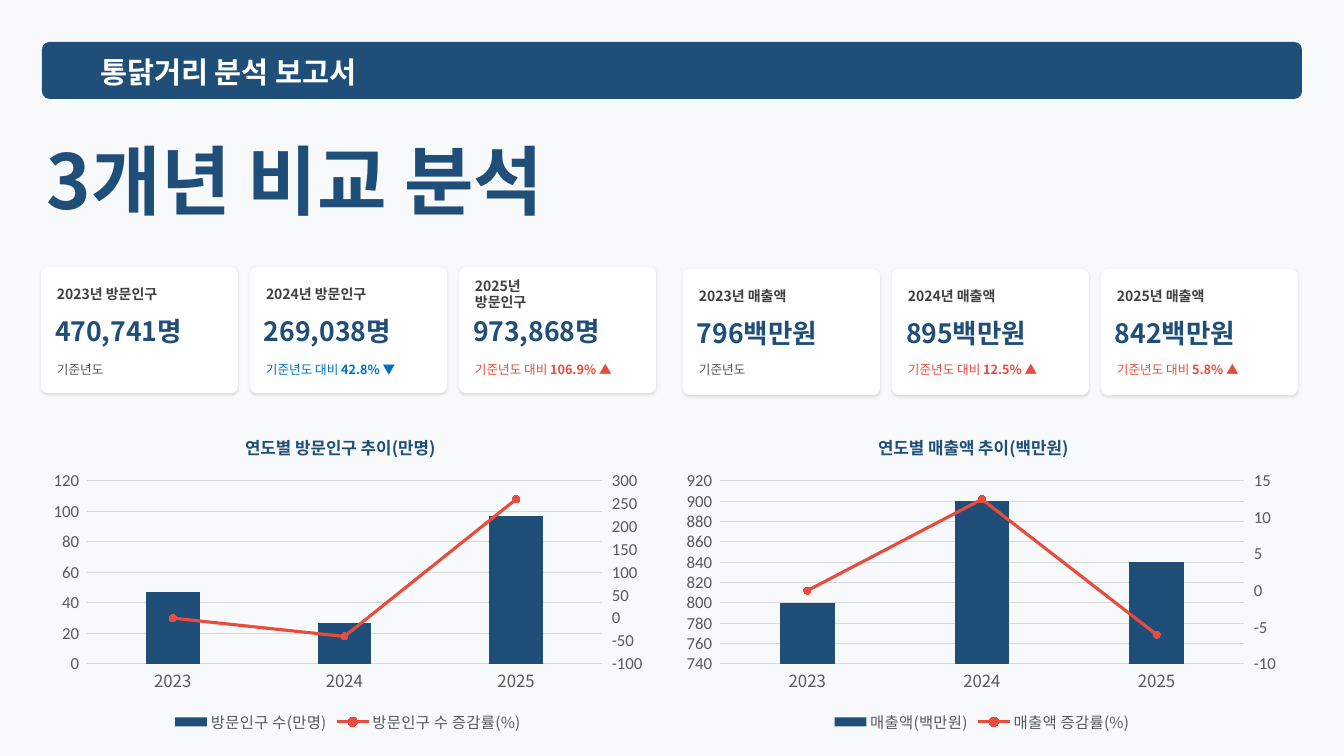
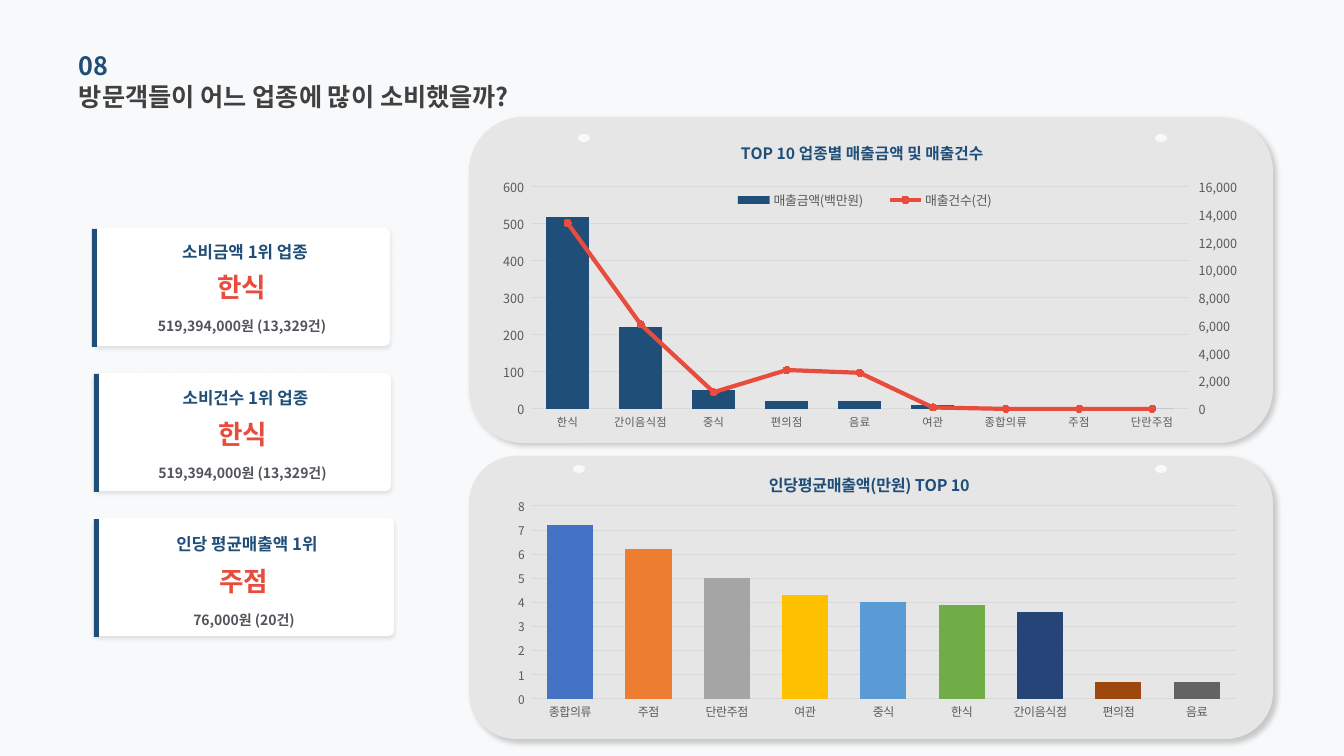
from lxml.etree import SubElement
from pptx import Presentation
from pptx.chart.axis import ValueAxis
from pptx.chart.data import CategoryChartData
from pptx.dml.color import RGBColor
from pptx.enum.chart import XL_CHART_TYPE, XL_LEGEND_POSITION, XL_MARKER_STYLE, XL_TICK_MARK
from pptx.enum.shapes import MSO_SHAPE
from pptx.enum.text import MSO_ANCHOR, PP_ALIGN
from pptx.oxml import parse_xml
from pptx.oxml.ns import nsdecls, qn
from pptx.util import Emu, Pt

PX = 914400 / 100.8
KOREAN, LATIN = "Noto Sans CJK KR", "Calibri"
COLORS = {
    "page": "F8F9FA", "navy": "1F4E79", "red": "E74C3C", "blue": "0070C0",
    "dark": "404040", "gray": "51545A", "axis": "595959", "grid": "D9D9D9",
    "panel": "E7E6E6", "white": "FFFFFF",
}
BAR_COLORS = ["4472C4", "ED7D31", "A5A5A5", "FFC000", "5B9BD5",
              "70AD47", "264478", "9E480E", "636363"]
# Shadows: opacity %, blur pt, distance pt, direction in degrees
CARD_SHADOW, RANK_SHADOW, PANEL_SHADOW = (10, 2, 1, 90), (10, 3, 2, 90), (20, 4, 3, 45)

SECOND_AXES = (
    '<c:catAx {ns}><c:axId val="501"/><c:scaling/><c:delete val="1"/>'
    '<c:axPos val="b"/><c:crossAx val="502"/></c:catAx>',
    '<c:valAx {ns}><c:axId val="502"/><c:scaling/><c:delete val="0"/>'
    '<c:axPos val="r"/><c:crossAx val="501"/><c:crosses val="max"/></c:valAx>',
)
LINE_PLOT = ('<c:lineChart {ns}><c:grouping val="standard"/><c:varyColors val="0"/>'
             '<c:marker val="1"/><c:axId val="501"/><c:axId val="502"/></c:lineChart>')


def px(*lengths):
    return [Emu(round(length * PX)) for length in lengths]


def rgb(color):
    return RGBColor.from_string(COLORS.get(color, color))


def style_font(font, size, color, bold=False, face=KOREAN):
    font.size, font.bold, font.name = Pt(size), bold, face
    font.color.rgb = rgb(color)
    SubElement(font._rPr, qn("a:ea"), typeface=face)


def paint(fill, color):
    fill.solid()
    fill.fore_color.rgb = rgb(color)


def set_layout(parent, index, frame, place, target=None):
    """Fix a chart part at slide pixels, stored as shares of the chart frame."""
    for old in parent.findall(qn("c:layout")):
        parent.remove(old)
    layout = parse_xml(f"<c:layout {nsdecls('c')}><c:manualLayout/></c:layout>")
    parent.insert(index, layout)
    left, top, width, height = frame
    shares = [(place[0] - left) / width, (place[1] - top) / height]
    shares += [length / side for length, side in zip(place[2:], (width, height))]
    settings = [("layoutTarget", target)] if target else []
    settings += [("xMode", "edge"), ("yMode", "edge")]
    settings += [(key, f"{share:.4f}") for key, share in zip("xywh", shares)]
    for key, value in settings:
        SubElement(layout[0], qn(f"c:{key}"), val=value)


class Deck:
    def __init__(self):
        self.prs = Presentation()
        self.prs.slide_width, self.prs.slide_height = px(1344, 756)

    def new_slide(self):
        self.slide = self.prs.slides.add_slide(self.prs.slide_layouts[6])
        paint(self.slide.background.fill, "page")
        self.ungroup()

    def group(self):
        self.layer = self.slide.shapes.add_group_shape().shapes

    def ungroup(self):
        self.layer = self.slide.shapes

    def box(self, frame, color, preset=MSO_SHAPE.RECTANGLE, corner=None, shadow=None):
        shape = self.layer.add_shape(preset, *px(*frame))
        paint(shape.fill, color)
        shape.line.fill.background()
        shape.shadow.inherit = False
        if corner is not None:
            shape.adjustments[0] = corner
        if shadow:
            opacity, blur, distance, angle = shadow
            effects = shape._element.spPr.find(qn("a:effectLst"))
            outer = SubElement(effects, qn("a:outerShdw"), blurRad=str(Pt(blur)),
                               dist=str(Pt(distance)), dir=str(angle * 60000),
                               algn="ctr", rotWithShape="0")
            tone = SubElement(outer, qn("a:srgbClr"), val="000000")
            SubElement(tone, qn("a:alpha"), val=str(opacity * 1000))

    def card(self, frame, corner, color="white", shadow=None):
        self.box(frame, color, MSO_SHAPE.ROUNDED_RECTANGLE, corner, shadow)

    def text(self, frame, runs, size, color, align=PP_ALIGN.LEFT):
        """Runs are (wording, bold) pairs; plain wording is one bold run."""
        area = self.layer.add_textbox(*px(*frame)).text_frame
        area.word_wrap, area.vertical_anchor = True, MSO_ANCHOR.MIDDLE
        area.margin_left = area.margin_right = area.margin_top = area.margin_bottom = 0
        paragraph = area.paragraphs[0]
        paragraph.alignment = align
        for wording, bold in [(runs, True)] if isinstance(runs, str) else runs:
            run = paragraph.add_run()
            run.text = wording
            style_font(run.font, size, color, bold)
            run.font._rPr.set("kern", "0")

    def value_axis(self, axis, scale, size, face, tick=XL_TICK_MARK.NONE):
        axis.minimum_scale, axis.maximum_scale, axis.major_unit = scale
        axis.major_tick_mark = tick
        axis.format.line.fill.background()
        axis.tick_labels.number_format = "#,##0_ "
        axis.tick_labels.number_format_is_linked = False
        style_font(axis.tick_labels.font, size, "axis", face=face)

    def move_to_line(self, chart, weight):
        """Turn the second series into a line on a right-hand axis."""
        area = chart._chartSpace.chart.plotArea
        bars = area.find(qn("c:barChart"))
        series = bars.findall(qn("c:ser"))[1]
        for flag in series.findall(qn("c:invertIfNegative")):
            series.remove(flag)
        line_plot = parse_xml(LINE_PLOT.format(ns=nsdecls("c")))
        line_plot.insert(2, series)
        bars.addnext(line_plot)
        last = area.findall(qn("c:valAx"))[-1]
        for xml in SECOND_AXES:
            axis = parse_xml(xml.format(ns=nsdecls("c")))
            last.addnext(axis)
            last = axis
        rate = chart.plots[1].series[0]
        rate.smooth = False
        rate.format.line.width = Pt(weight)
        rate.format.line.color.rgb = rgb("red")
        rate.marker.style, rate.marker.size = XL_MARKER_STYLE.CIRCLE, 5
        paint(rate.marker.format.fill, "red")
        rate.marker.format.line.color.rgb = rgb("red")
        return ValueAxis(last)

    def chart(self, frame, title, title_at, plot_at, categories, series, scales, sizes,
              face=KOREAN, gap=70, overlap=-27, weight=3, legend=None,
              legend_at=None, bar_colors=()):
        title_size, category_size, value_size, legend_size = sizes
        data = CategoryChartData()
        data.categories = categories
        for name, values in series:
            data.add_series(name, values)
        chart = self.slide.shapes.add_chart(
            XL_CHART_TYPE.COLUMN_CLUSTERED, *px(*frame), data).chart
        style_font(chart.font, 10, "000000", face=LATIN)

        # Title and plot area
        chart.has_title = True
        heading = chart.chart_title.text_frame.paragraphs[0].add_run()
        heading.text = title
        style_font(heading.font, title_size, "navy", True)
        set_layout(chart.chart_title._element, 1, frame, title_at)
        set_layout(chart._chartSpace.chart.plotArea, 0, frame, plot_at, "inner")

        # Columns
        bars = chart.plots[0]
        bars.gap_width, bars.overlap, bars.vary_by_categories = gap, overlap, False
        paint(bars.series[0].format.fill, "navy")
        for index, color in enumerate(bar_colors):
            paint(bars.series[0].points[index].format.fill, color)

        # Axes
        base = chart.category_axis
        base.major_tick_mark = XL_TICK_MARK.NONE
        base.format.line.color.rgb = rgb("grid")
        base.format.line.width = Pt(0.75)
        style_font(base.tick_labels.font, category_size, "axis")
        gridlines = chart.value_axis.major_gridlines.format.line
        gridlines.color.rgb, gridlines.width = rgb("grid"), Pt(0.75)
        self.value_axis(chart.value_axis, scales[0], value_size, face)
        if len(series) > 1:
            self.value_axis(self.move_to_line(chart, weight), scales[1], value_size, face,
                            XL_TICK_MARK.OUTSIDE)

        # Legend
        chart.has_legend = legend is not None
        if legend is not None:
            chart.legend.position = legend
            chart.legend.include_in_layout = False
            style_font(chart.legend.font, legend_size, "axis")
            if legend_at:
                set_layout(chart.legend._element, 1, frame, legend_at)


def comparison_slide(deck):
    deck.new_slide()

    # Yearly figures: label, label width, value, note, change, colour
    base, versus = "기준년도", "기준년도 대비 "
    visitors = [("2023년 방문인구", 113, "470,741명", base, "", "gray"),
                ("2024년 방문인구", 109, "269,038명", versus, "42.8% ▼", "blue"),
                ("2025년 방문인구", 98, "973,868명", versus, "106.9% ▲", "red")]
    sales = [("2023년 매출액", 100, "796백만원", base, "", "gray"),
             ("2024년 매출액", 100, "895백만원", versus, "12.5% ▲", "red"),
             ("2025년 매출액", 100, "842백만원", versus, "5.8% ▲", "red")]
    for start, top, years in ((41, 267, visitors), (683, 269, sales)):
        for index, (label, label_width, value, note, change, color) in enumerate(years):
            left = start + 209 * index
            deck.card((left, top, 197, 126), 0.053, shadow=CARD_SHADOW)
            deck.text((left + 16, top + 18, label_width, 18), label, 10, "dark")
            deck.text((left + 14, top + 49, 196, 30), value, 19, "navy")
            runs = [(note, False)] + ([(change, True)] if change else [])
            deck.text((left + 16, 359, 180, 21), runs, 9, color)

    # Band and title
    deck.card((42, 42, 1260, 57), 0.132, "navy")
    deck.text((100, 50, 1144, 44), "통닭거리 분석 보고서", 21, "white")
    deck.text((47, 124, 637, 110), "3개년 비교 분석", 54, "navy")

    # Trends
    trend = dict(categories=["2023", "2024", "2025"], sizes=(12, 12, 12, 11), face=LATIN,
                 gap=219, overlap=0, weight=2.25, legend=XL_LEGEND_POSITION.BOTTOM)
    deck.chart((41, 417, 614, 320), "연도별 방문인구 추이(만명)", (242, 429),
               (87, 481, 515, 183),
               series=[("방문인구 수(만명)", [47, 27, 97]),
                       ("방문인구 수 증감률(%)", [0, -40, 260])],
               scales=[(0, 120, 20), (-100, 300, 50)], **trend)
    deck.chart((675, 417, 614, 320), "연도별 매출액 추이(백만원)", (875, 429),
               (720, 481, 524, 183),
               series=[("매출액(백만원)", [800, 900, 840]),
                       ("매출액 증감률(%)", [0, 12.5, -6])],
               scales=[(740, 920, 20), (-10, 15, 5)], **trend)


def spending_slide(deck):
    deck.new_slide()

    # Panels and heading
    for top, height in ((456, 283), (117, 326)):
        deck.card((469, top, 804, height), 0.1667, "panel", PANEL_SHADOW)
    deck.text((79, 76, 456, 41), "방문객들이 어느 업종에 많이 소비했을까?", 18, "dark")
    deck.text((79, 45, 456, 41), "08", 18, "navy")

    # Leaders: heading, winner, detail, card width, stripe left
    leaders = [("소비금액 1위 업종", "한식", "519,394,000원 (13,329건)", 296, 92),
               ("소비건수 1위 업종", "한식", "519,394,000원 (13,329건)", 297, 94),
               ("인당 평균매출액 1위", "주점", "76,000원 (20건)", 300, 94)]
    for index, (heading, winner, detail, width, stripe) in enumerate(leaders):
        top, drift = 228 + 145 * index, 2 * index
        deck.group()
        deck.card((94, top, width, 118), 0.048, shadow=RANK_SHADOW)
        for left, offset, height, wording, size, color in (
                (97, 13 + index, 22, heading, 12, "navy"),
                (94, 42 + drift, 34, winner, 19, "red"),
                (94, 89 + drift, 18, detail, 10, "gray")):
            deck.text((left, top + offset, width, height), wording, size, color,
                      PP_ALIGN.CENTER)
        deck.ungroup()
        deck.box((stripe, top + 1, 5, 118), "navy")

    # Rankings
    deck.chart((502, 125, 738, 318), "TOP 10 업종별 매출금액 및 매출건수", (738, 137),
               (531, 187, 658, 222),
               ["한식", "간이음식점", "중식", "편의점", "음료", "여관", "종합의류", "주점", "단란주점"],
               [("매출금액(백만원)", [520, 220, 50, 20, 20, 10, 0, 0, 0]),
                ("매출건수(건)", [13400, 6100, 1200, 2800, 2600, 100, 0, 0, 0])],
               [(0, 600, 100), (0, 16000, 2000)], (11.2, 8, 9, 9.2),
               legend=XL_LEGEND_POSITION.TOP, legend_at=(716, 188, 298, 24))
    deck.chart((502, 458, 749, 269), "인당평균매출액(만원) TOP 10", (766, 469),
               (531, 506, 705, 193),
               ["종합의류", "주점", "단란주점", "여관", "중식", "한식", "간이음식점", "편의점", "음료"],
               [("인당평균매출액(만원)", [7.2, 6.2, 5, 4.3, 4, 3.9, 3.6, 0.7, 0.7])],
               [(0, 8, 1)], (11.5, 8.5, 8.5, 9.5), bar_colors=BAR_COLORS)

    # Panel pins
    for left, top in ((578, 134), (1155, 134), (1155, 465), (573, 465)):
        deck.box((left, top, 12, 8), "page", MSO_SHAPE.OVAL)


def main():
    deck = Deck()
    comparison_slide(deck)
    spending_slide(deck)
    deck.prs.save("out.pptx")


if __name__ == "__main__":
    main()
